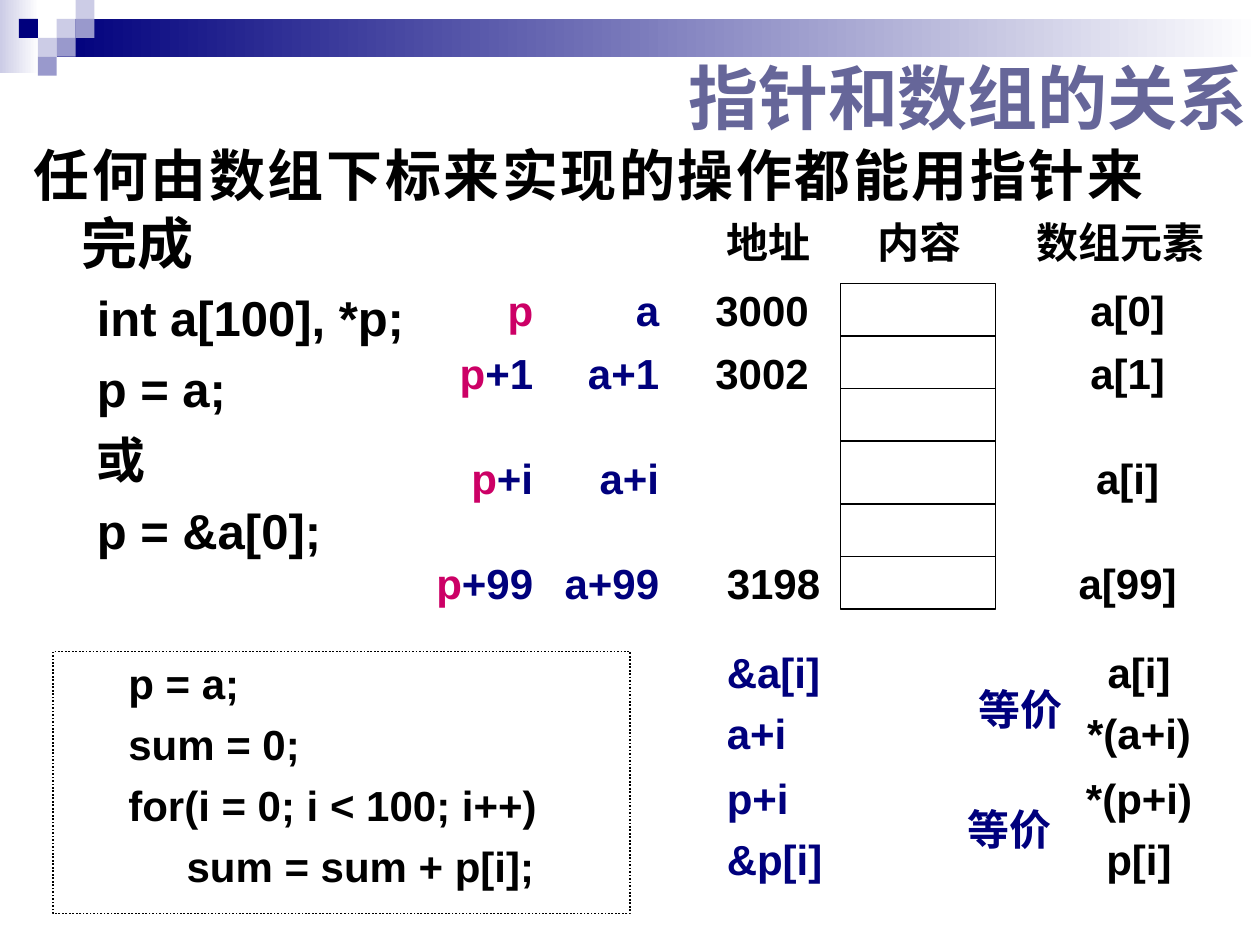
from lxml.etree import SubElement
from pptx import Presentation
from pptx.dml.color import RGBColor
from pptx.enum.dml import MSO_LINE
from pptx.enum.shapes import MSO_CONNECTOR, MSO_SHAPE
from pptx.enum.text import MSO_ANCHOR, PP_ALIGN
from pptx.oxml.ns import qn
from pptx.util import Inches, Pt

BLACK = RGBColor(0, 0, 0)
WHITE = RGBColor(255, 255, 255)
NAVY = RGBColor(0x00, 0x00, 0x7D)
MAGENTA = RGBColor(0xCC, 0x00, 0x66)
SLATE = RGBColor(0x66, 0x66, 0x99)
LAVENDER = RGBColor(0xCC, 0xCC, 0xE6)
VIOLET = RGBColor(0x99, 0x99, 0xCC)

# Content: a paragraph is a list of (text, colour) runs
TITLE = "指针和数组的关系"
STATEMENT = "任何由数组下标来实现的操作都能用指针来完成"
DECLARATIONS = ["int a[100], *p;", "p = a;", "或", "p = &a[0];"]
LOOP_CODE = ["p = a;", "sum = 0;", "for(i = 0; i < 100; i++)", "     sum = sum + p[i];"]
# text, left, width
HEADINGS = [("地址", 5.67, 1), ("内容", 6.87, 1), ("数组元素", 8.13, 1.6)]
# grid row, offset suffix, address, left edge of the address, element
MEMORY = [
    (27, "", "3000", 5.58, "a[0]"),
    (33, "+1", "3002", 5.58, "a[1]"),
    (43, "+i", None, None, "a[i]"),
    (53, "+99", "3198", 5.67, "a[99]"),
]
# left, top of the label; top of the pairs; address forms; value forms
EQUIVALENCES = [
    (7.67, 5.42, 5.08, ["&a[i]", "a+i"], ["a[i]", "*(a+i)"]),
    (7.58, 6.37, 6.08, ["p+i", "&p[i]"], ["*(p+i)", "p[i]"]),
]

# Layout: rows are counted in twelfths of an inch
ROW = 1 / 12
CELL_EDGES = [27, 32, 37, 42, 48, 53, 58]
CELL_LEFT, CELL_WIDTH = 6.67, 1.23
ELEMENT_CENTRE, VALUE_CENTRE, COLUMN_WIDTH = 8.95, 9.04, 1.2
TILE = 0.15
TILES = [(3, 1, LAVENDER), (4, 0, LAVENDER), (4, 1, VIOLET), (2, 2, LAVENDER),
         (1, 1, NAVY), (3, 2, VIOLET), (2, 3, VIOLET)]

presentation = Presentation()
presentation.slide_width, presentation.slide_height = Inches(10), Inches(7.5)
slide = presentation.slides.add_slide(presentation.slide_layouts[6])


def add_rectangle(left, top, width, height, fill=None, fade=False, line=None):
    shape = slide.shapes.add_shape(
        MSO_SHAPE.RECTANGLE, *map(Inches, (left, top, width, height)))
    shape.shadow.inherit = False
    if fill is None:
        shape.fill.background()
    elif fade:
        shape.fill.gradient()
        shape.fill.gradient_angle = 0
        for stop, color in zip(shape.fill.gradient_stops, (fill, WHITE)):
            stop.color.rgb = color
    else:
        shape.fill.solid()
        shape.fill.fore_color.rgb = fill
    if line:
        shape.line.color.rgb = BLACK
        shape.line.width = Pt(line)
    else:
        shape.line.fill.background()
    return shape


def add_text(left, top, width, height, paragraphs, shape=None, size=24, sizes=None,
             font="Arial", align=PP_ALIGN.LEFT, anchor=MSO_ANCHOR.TOP, wrap=True,
             before=0, spacing=None, margin=0, hanging=0):
    """Write paragraphs of (text, colour) runs into a new box or a given shape."""
    shape = shape or slide.shapes.add_textbox(
        *map(Inches, (left, top, width, height)))
    frame = shape.text_frame
    frame.word_wrap, frame.vertical_anchor = wrap, anchor
    for index, runs in enumerate(paragraphs):
        paragraph = frame.add_paragraph() if index else frame.paragraphs[0]
        properties = paragraph._p.get_or_add_pPr()
        properties.set("marL", str(Inches(margin)))
        properties.set("indent", str(-Inches(hanging)))
        paragraph.alignment = align
        paragraph.space_before = Pt(before if index else 0)
        if spacing:
            paragraph.line_spacing = spacing
        for text, color in runs:
            run = paragraph.add_run()
            run.text = text
            run.font.name, run.font.size, run.font.bold = font, Pt(size), True
            run.font.color.rgb = color
    return frame


def lines(texts, color=BLACK):
    return [[(text, color)] for text in texts]


# Banner
add_rectangle(0, 0, 0.31, 0.58, LAVENDER, fade=True)
add_rectangle(0.45, 0.15, 9.55, 0.3, NAVY, fade=True)
for column, row, color in TILES:
    add_rectangle(column * TILE, row * TILE, TILE, TILE, color)

# Title, then the statement with its declarations
add_text(4.68, 0.36, 5.32, 0.79, lines([TITLE], SLATE), size=40,
         align=PP_ALIGN.RIGHT, anchor=MSO_ANCHOR.BOTTOM)
body = add_text(0.17, 1.07, 9.01, 3.86, lines([STATEMENT, *DECLARATIONS]), size=28,
                before=7, margin=0.81, hanging=0.31)
statement = body.paragraphs[0]
statement.alignment = PP_ALIGN.JUSTIFY
statement.runs[0].font.size = Pt(32)
statement._p.pPr.set("marL", str(Inches(0.38)))
statement._p.pPr.set("indent", str(-Inches(0.38)))

# Memory cells
first, *inner, last = CELL_EDGES
add_rectangle(CELL_LEFT, first * ROW, CELL_WIDTH, (last - first) * ROW, line=0.75)
for edge in inner:
    divider = slide.shapes.add_connector(
        MSO_CONNECTOR.STRAIGHT, Inches(CELL_LEFT), Inches(edge * ROW),
        Inches(CELL_LEFT + CELL_WIDTH), Inches(edge * ROW))
    divider.line.color.rgb = BLACK
    divider.line.width = Pt(0.75)
    SubElement(divider._element.spPr, qn("a:effectLst"))

# Headings, pointer forms, addresses and elements
for heading, left, width in HEADINGS:
    add_text(left, 1.67, width, 0.5, lines([heading]), font="Times New Roman",
             anchor=MSO_ANCHOR.MIDDLE)
for row, suffix, address, address_left, element in MEMORY:
    pointer = [("p", MAGENTA)] + ([(suffix, NAVY)] if suffix else [])
    columns = [
        (3.33, 1, pointer, PP_ALIGN.RIGHT),
        (4.33, 1, [("a" + suffix, NAVY)], PP_ALIGN.RIGHT),
        (ELEMENT_CENTRE - COLUMN_WIDTH / 2, COLUMN_WIDTH, [(element, BLACK)],
         PP_ALIGN.CENTER),
    ]
    if address:
        columns.append((address_left, 1, [(address, BLACK)], PP_ALIGN.LEFT))
    for left, width, runs, align in columns:
        add_text(left, row * ROW, width, 5 * ROW, [runs], align=align,
                 anchor=MSO_ANCHOR.MIDDLE)

# Equivalent expressions
for label_left, label_top, top, addresses, values in EQUIVALENCES:
    add_text(5.67, top, COLUMN_WIDTH, 1.25, lines(addresses, NAVY), before=6)
    add_text(VALUE_CENTRE - COLUMN_WIDTH / 2, top, COLUMN_WIDTH, 1.25, lines(values),
             before=6, align=PP_ALIGN.CENTER)
    add_text(label_left, label_top, 0.87, 0.46, lines(["等价"], NAVY), spacing=0.9,
             wrap=False)

# Summing loop
loop_box = add_rectangle(0.42, 5.17, 4.58, 2.08, line=1)
loop_box.line.dash_style = MSO_LINE.ROUND_DOT
add_text(0, 0, 0, 0, lines(LOOP_CODE), shape=loop_box, before=6, margin=0.81,
         hanging=0.31)

presentation.save("out.pptx")
